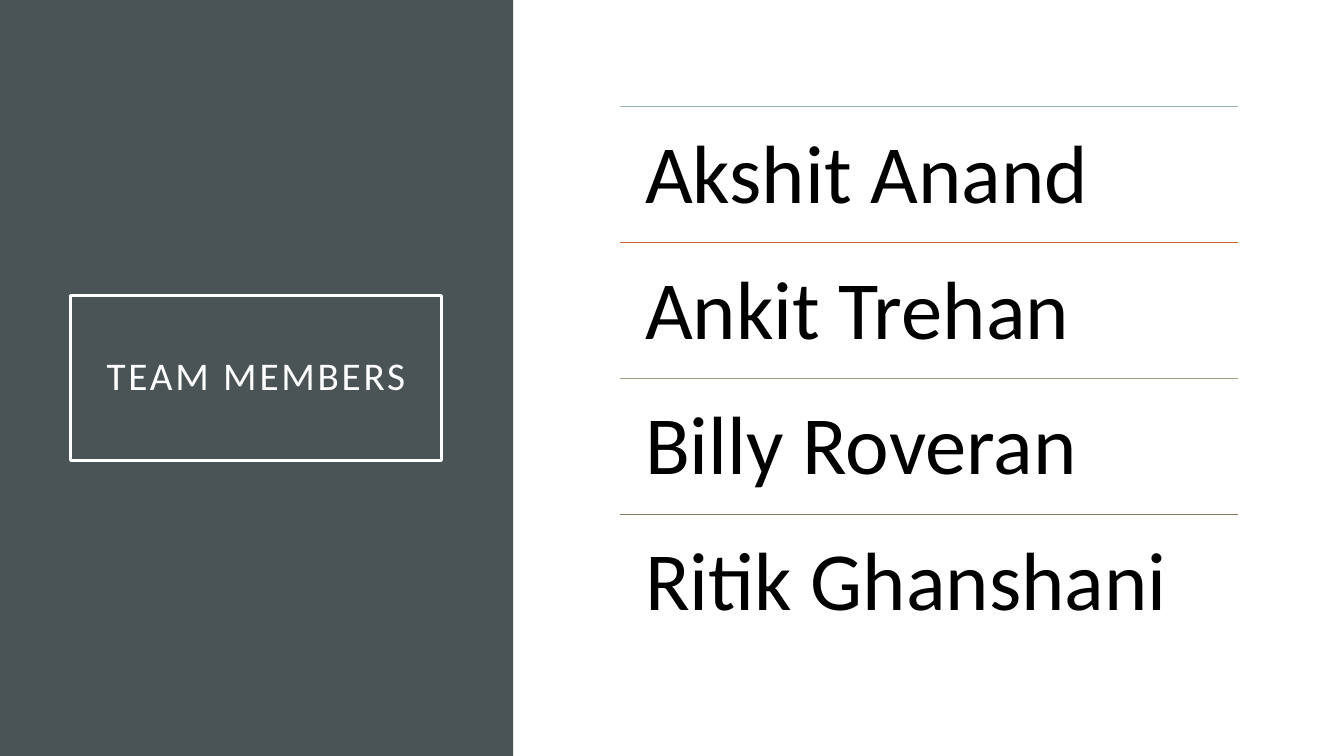
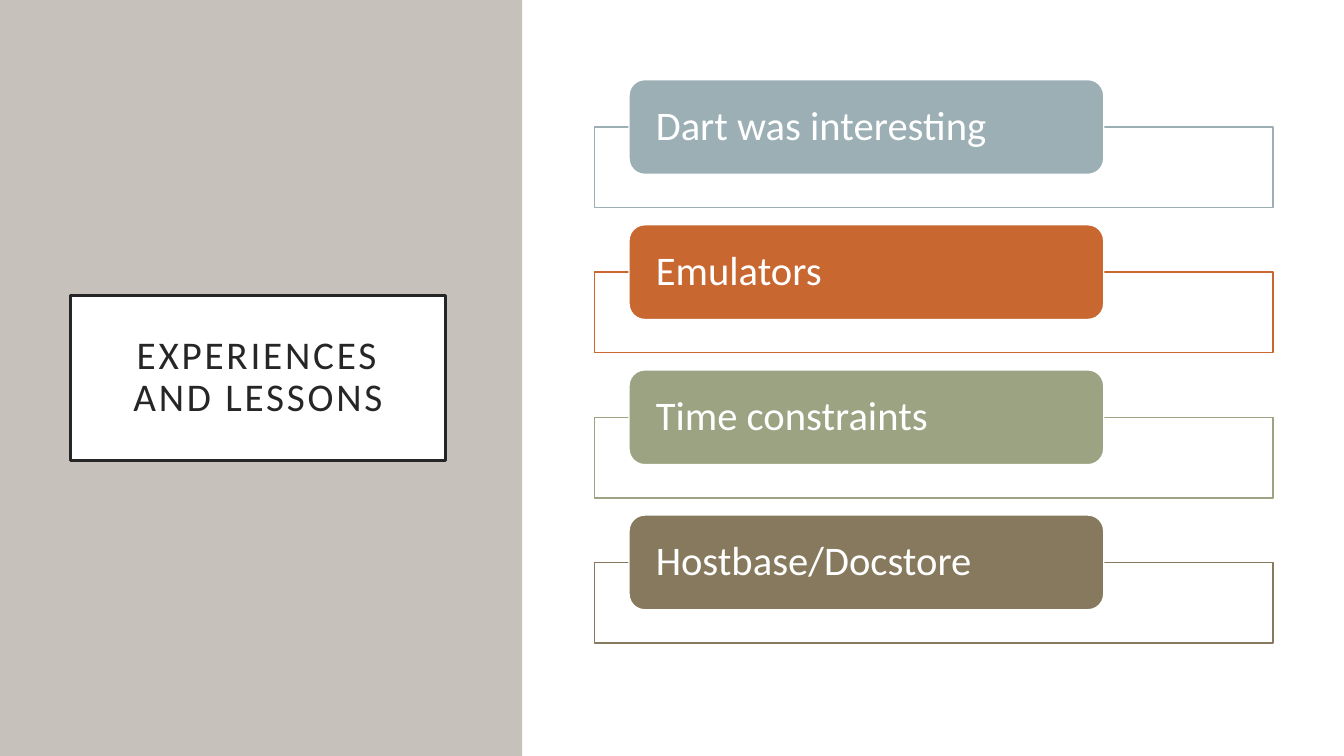
from pptx import Presentation
from pptx.dml.color import RGBColor
from pptx.enum.shapes import MSO_CONNECTOR, MSO_SHAPE
from pptx.enum.text import MSO_ANCHOR, PP_ALIGN
from pptx.oxml.ns import qn
from pptx.util import Pt
from lxml import etree

RECT = MSO_SHAPE.RECTANGLE
ROUNDED = MSO_SHAPE.ROUNDED_RECTANGLE
STRAIGHT = MSO_CONNECTOR.STRAIGHT
TOP, MIDDLE = MSO_ANCHOR.TOP, MSO_ANCHOR.MIDDLE
LEFT, CENTER = PP_ALIGN.LEFT, PP_ALIGN.CENTER

WHITE = RGBColor(0xFF, 0xFF, 0xFF)
BLACK = RGBColor(0x00, 0x00, 0x00)
INK = RGBColor(0x26, 0x26, 0x26)
SLATE = RGBColor(0x4A, 0x53, 0x56)
STONE = RGBColor(0xC6, 0xC1, 0xBA)
ACCENTS = [
    RGBColor(0x9B, 0xAF, 0xB5),
    RGBColor(0xC9, 0x67, 0x31),
    RGBColor(0x9C, 0xA3, 0x83),
    RGBColor(0x87, 0x79, 0x5D),
]

EMU_PER_PX = 3048  # 300 px to the inch
SLIDE_W, SLIDE_H = 4000, 2250


def px(length):
    return length * EMU_PER_PX


class Deck:
    """Holds the shared style and the slide being built."""

    font = "Calibri"
    line_spacing = 0.9

    def __init__(self):
        self.prs = Presentation()
        self.prs.slide_width, self.prs.slide_height = px(SLIDE_W), px(SLIDE_H)
        self.slide = None

    def new_slide(self):
        self.slide = self.prs.slides.add_slide(self.prs.slide_layouts[6])

    def box(self, kind, x, y, w, h, fill=None, line=None, line_pt=1):
        shape = self.slide.shapes.add_shape(kind, px(x), px(y), px(w), px(h))
        shape.shadow.inherit = False
        if fill is None:
            shape.fill.background()
        else:
            shape.fill.solid()
            shape.fill.fore_color.rgb = fill
        if line is None:
            shape.line.fill.background()
        else:
            shape.line.color.rgb = line
            shape.line.width = Pt(line_pt)
        return shape

    def add_text(self, shape, text, size, color, pad_x, pad_y,
                 align=LEFT, anchor=MIDDLE, tracking=0):
        frame = shape.text_frame
        frame.word_wrap = True
        frame.vertical_anchor = anchor
        frame.margin_left = frame.margin_right = px(pad_x)
        frame.margin_top = frame.margin_bottom = px(pad_y)
        paragraph = frame.paragraphs[0]
        paragraph.alignment = align
        paragraph.line_spacing = self.line_spacing
        run = paragraph.add_run()
        run.text = text
        run.font.name = self.font
        run.font.size = Pt(size)
        run.font.color.rgb = color
        if tracking:
            run.font._element.set("spc", str(tracking * 100))

    def side_panel(self, width, color):
        self.box(RECT, 0, 0, width, SLIDE_H, fill=color)

    def title(self, text, width, color, fill=None):
        frame = self.box(RECT, 210, 879, width, 492, fill, color, 2.5)
        self.add_text(frame, text, 28, color, 60, 60, align=CENTER, tracking=2)

    def rule(self, x, y, w, color):
        line = self.slide.shapes.add_connector(
            STRAIGHT, px(x), px(y), px(x + w), px(y))
        line.line.color.rgb = color
        line.line.width = Pt(0.5)
        etree.SubElement(line._element.spPr, qn("a:effectLst"))

    def ruled_name(self, name, y, h, color):
        x, w = 1845, 1839
        self.rule(x, y, w, color)
        label = self.slide.shapes.add_textbox(px(x), px(y), px(w), px(h))
        self.add_text(label, name, 59, BLACK, 75, 75, anchor=TOP)

    def lesson(self, text, y, color):
        self.box(RECT, 1770, y + 141, 2019, 240, fill=WHITE, line=color)
        tab = self.box(ROUNDED, 1872, y, 1413, 282, fill=color, line=WHITE)
        self.add_text(tab, text, 29, WHITE, 66, 0)


def team_slide(deck):
    members = ["Akshit Anand", "Ankit Trehan", "Billy Roveran", "Ritik Ghanshani"]
    top, row_h = 318, 404
    deck.new_slide()
    deck.side_panel(1527, SLATE)
    deck.title("TEAM MEMBERS", 1104, WHITE)
    # One ruled row per member
    for row, (member, accent) in enumerate(zip(members, ACCENTS)):
        deck.ruled_name(member, top + row * row_h, row_h, accent)


def lessons_slide(deck):
    lessons = ["Dart was interesting", "Emulators", "Time constraints",
               "Hostbase/Docstore"]
    top, pitch = 237, 432
    deck.new_slide()
    deck.side_panel(1554, STONE)
    deck.title("EXPERIENCES AND LESSONS", 1116, INK, fill=WHITE)
    # One tabbed frame per lesson
    for row, (lesson, accent) in enumerate(zip(lessons, ACCENTS)):
        deck.lesson(lesson, top + row * pitch, accent)


def main():
    deck = Deck()
    team_slide(deck)
    lessons_slide(deck)
    deck.prs.save("out.pptx")


if __name__ == "__main__":
    main()
